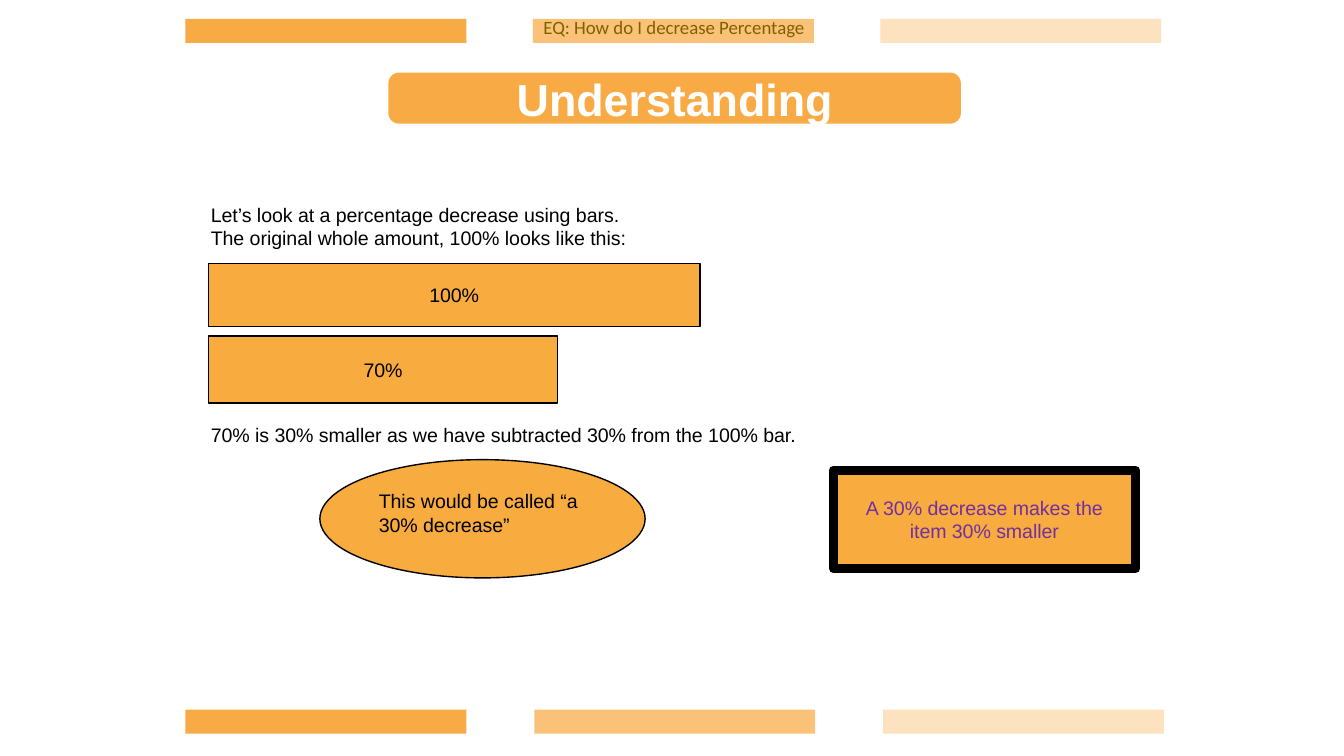
from typing import NamedTuple

from lxml.etree import SubElement
from pptx import Presentation
from pptx.dml.color import RGBColor
from pptx.enum.shapes import MSO_SHAPE
from pptx.enum.text import MSO_ANCHOR, MSO_AUTO_SIZE, PP_ALIGN
from pptx.oxml.ns import qn
from pptx.util import Inches, Pt

AMBER = RGBColor(0xF8, 0xAB, 0x44)
ORANGE = RGBColor(0xF8, 0xAB, 0x3F)
BLACK = RGBColor(0, 0, 0)
WHITE = RGBColor(255, 255, 255)
PURPLE = RGBColor(0x70, 0x30, 0xA0)
OLIVE = RGBColor(0x80, 0x60, 0x00)


class Box(NamedTuple):
    left: float
    top: float
    width: float
    height: float


class Style(NamedTuple):
    size: float = 10.5
    color: RGBColor = BLACK
    font: str = "Arial"
    bold: bool = False
    align: PP_ALIGN = PP_ALIGN.LEFT


class Panel(NamedTuple):
    box: Box
    text: str = ""
    line: float = 0.75
    color: RGBColor = BLACK
    kind: MSO_SHAPE = MSO_SHAPE.RECTANGLE


class Note(NamedTuple):
    box: Box
    lines: list[str]
    style: Style = Style()


PLATE = Box(2.89, 0.54, 4.26, 0.38)
PANELS = [
    Panel(Box(1.55, 1.96, 3.66, 0.47), "100%"),
    Panel(Box(1.55, 2.5, 2.6, 0.5), "70%"),
    Panel(Box(2.38, 3.42, 2.42, 0.88), kind=MSO_SHAPE.OVAL),
    Panel(Box(6.2, 3.5, 2.25, 0.73),
          "A 30% decrease makes the item 30% smaller", 5, PURPLE),
]
NOTES = [
    Note(Box(1.47, 1.46, 4.48, 0.45),
         ["Let’s look at a percentage decrease using bars.",
          "The original whole amount, 100% looks like this:"]),
    Note(Box(1.47, 3.1, 4.65, 0.28),
         ["70% is 30% smaller as we have subtracted 30% from the 100% bar."]),
    Note(Box(2.72, 3.59, 1.98, 0.45),
         ["This would be called “a 30% decrease”"]),
    Note(Box(3.58, 0.07, 2.87, 0.27), ["EQ: How do I decrease Percentage"],
         Style(10.1, OLIVE, "Calibri", align=PP_ALIGN.CENTER)),
]


def place(box: Box) -> list[int]:
    return [Inches(side) for side in box]


def write(frame, lines: list[str], style: Style) -> None:
    frame.word_wrap = True
    for i, line in enumerate(lines):
        para = frame.add_paragraph() if i else frame.paragraphs[0]
        para.alignment = style.align
        run = para.add_run()
        run.text = line
        font = run.font
        font.name, font.size, font.bold = style.font, Pt(style.size), style.bold
        font.color.rgb = style.color


def draw(slide, box: Box, fill: RGBColor, line: float = 0,
         kind: MSO_SHAPE = MSO_SHAPE.RECTANGLE, alpha: int = 100):
    """Add a filled shape; alpha is its opacity in percent."""
    shape = slide.shapes.add_shape(kind, *place(box))
    shape.shadow.inherit = False
    shape.fill.solid()
    shape.fill.fore_color.rgb = fill
    if alpha < 100:
        tint = shape.fill._xPr.find(qn("a:solidFill"))[0]
        SubElement(tint, qn("a:alpha"), val=str(alpha * 1000))
    if line:
        shape.line.color.rgb = BLACK
        shape.line.width = Pt(line)
    else:
        shape.line.fill.background()
    return shape


def stripes(slide, top: float, gap: float) -> None:
    for i, alpha in enumerate((100, 72, 34)):
        box = Box(1.38 + i * gap, top, 2.09, 0.18)
        draw(slide, box, AMBER, alpha=alpha)


def head(slide) -> None:
    plate = draw(slide, PLATE, AMBER, kind=MSO_SHAPE.ROUNDED_RECTANGLE)
    plate.adjustments[0] = 0.21
    title = slide.shapes.title
    title.left, title.top, title.width, title.height = place(PLATE)
    # Bring the title in front of its plate
    plate._element.addnext(title._element)
    frame = title.text_frame
    frame.auto_size = MSO_AUTO_SIZE.NONE
    frame.vertical_anchor = MSO_ANCHOR.MIDDLE
    frame.margin_top = frame.margin_bottom = 0
    write(frame, ["Understanding"],
          Style(24, WHITE, bold=True, align=PP_ALIGN.CENTER))


def main() -> None:
    deck = Presentation()
    deck.slide_width = Inches(10)
    deck.slide_height = deck.slide_width * 9 // 16
    slide = deck.slides.add_slide(deck.slide_layouts[5])
    stripes(slide, 0.14, 2.585)
    stripes(slide, 5.28, 2.595)
    head(slide)
    for panel in PANELS:
        shape = draw(slide, panel.box, ORANGE, panel.line, panel.kind)
        if panel.text:
            shape.text_frame.vertical_anchor = MSO_ANCHOR.MIDDLE
            write(shape.text_frame, [panel.text],
                  Style(color=panel.color, align=PP_ALIGN.CENTER))
    for note in NOTES:
        area = slide.shapes.add_textbox(*place(note.box))
        write(area.text_frame, note.lines, note.style)
    deck.save("out.pptx")


if __name__ == "__main__":
    main()
